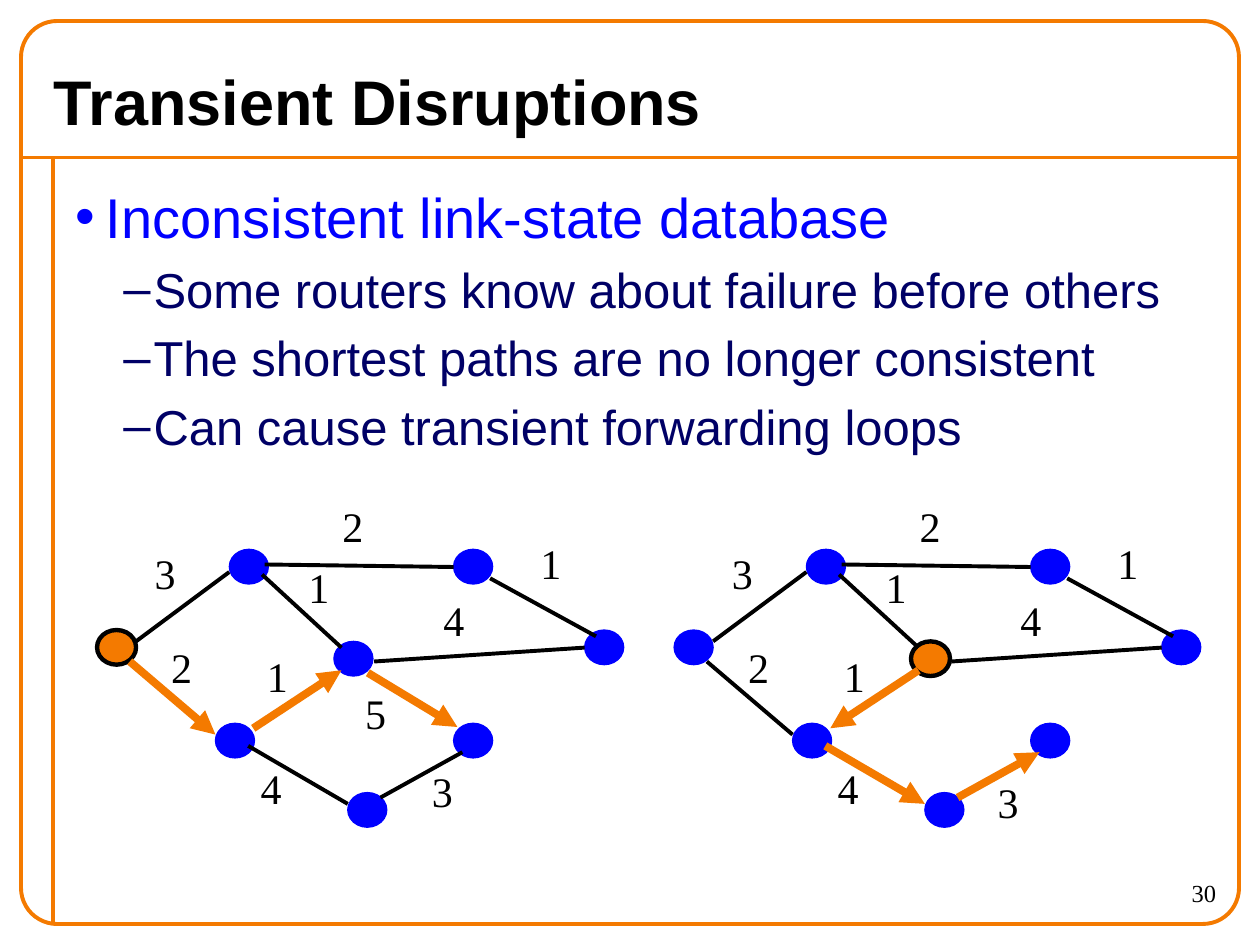
from dataclasses import dataclass

import pptx
import pptx.dml.color
import pptx.enum.shapes
import pptx.enum.text
import pptx.oxml
import pptx.oxml.ns
import pptx.util

ORANGE, BLUE, NAVY, BLACK = "F47A00", "0000FF", "000066", "000000"
COLUMNS, ROWS = 100, 75  # square grid over the whole slide
SANS, SERIF = "Arial", "Times New Roman"

deck = pptx.Presentation()
deck.slide_width = pptx.util.Inches(10)
deck.slide_height = pptx.util.Inches(7.5)
page = deck.slides.add_slide(deck.slide_layouts[6])


@dataclass(frozen=True)
class TextStyle:
    size: float
    font: str
    color: str
    bold: bool = False


@dataclass(frozen=True)
class Bullet:
    mark: str
    indent: float
    space_before: float


@dataclass(frozen=True)
class Link:
    start: tuple[float, float]
    end: tuple[float, float]


@dataclass(frozen=True)
class Network:
    shift: float  # columns to the right of the first network
    source: str  # node that sends the packet
    route: dict[str, str]  # link name -> arrow end
    costs: list[tuple[str, float, float]]  # text, column, row


def column(value: float) -> int:
    return round(deck.slide_width * value / COLUMNS)


def row(value: float) -> int:
    return round(deck.slide_height * value / ROWS)


def rgb(color: str) -> pptx.dml.color.RGBColor:
    return pptx.dml.color.RGBColor.from_string(color)


def area(left: float, top: float, width: float, height: float) -> tuple[int, int, int, int]:
    return column(left), row(top), column(width), row(height)


def add_child(parent, tag: str, **attributes: str) -> None:
    child = pptx.oxml.parse_xml(f"<a:{tag} {pptx.oxml.ns.nsdecls('a')}/>")
    for name, value in attributes.items():
        child.set(name, value)
    parent.append(child)


def draw_line(start: tuple[float, float], end: tuple[float, float], color: str,
              width: float, arrow: str = "") -> None:
    line = page.shapes.add_connector(
        pptx.enum.shapes.MSO_CONNECTOR.STRAIGHT,
        column(start[0]), row(start[1]), column(end[0]), row(end[1]))
    line.line.color.rgb = rgb(color)
    line.line.width = pptx.util.Pt(width)
    if arrow:
        add_child(line.line._get_or_add_ln(), arrow, type="triangle")
    add_child(line._element.spPr, "effectLst")


def draw_shape(kind, place: tuple[int, int, int, int], fill: str, line: str, width: float):
    shape = page.shapes.add_shape(kind, *place)
    shape.shadow.inherit = False
    if fill:
        shape.fill.solid()
        shape.fill.fore_color.rgb = rgb(fill)
    else:
        shape.fill.background()
    shape.line.color.rgb = rgb(line)
    shape.line.width = pptx.util.Pt(width)
    return shape


def add_text(para, text: str, style: TextStyle) -> None:
    span = para.add_run()
    span.text = text
    span.font.size = pptx.util.Pt(style.size)
    span.font.name = style.font
    span.font.bold = style.bold
    span.font.color.rgb = rgb(style.color)


def add_box(place: tuple[int, int, int, int], wrap: bool = True):
    box = page.shapes.add_textbox(*place)
    box.text_frame.word_wrap = wrap
    return box.text_frame


def add_bullet(para, bullet: Bullet, color: str) -> None:
    properties = para._p.get_or_add_pPr()
    properties.set("marL", str(column(bullet.indent)))
    properties.set("indent", str(-column(2.4)))
    para.space_before = pptx.util.Pt(bullet.space_before)
    add_child(properties, "buClr")
    add_child(properties[-1], "srgbClr", val=color)
    add_child(properties, "buFont", typeface=SANS)
    add_child(properties, "buChar", char=bullet.mark)


# Node corners and links of the first network
NODES = {
    "west": (7.7, 50), "southwest": (17.1, 57.4), "northwest": (18.2, 43.6),
    "centre": (26.5, 50.9), "southeast": (36, 57.4), "northeast": (36, 43.6),
    "south": (27.6, 62.9), "east": (46.4, 50),
}
LINKS = {
    "west-northwest": Link((10.8, 50.9), (18.2, 45.4)),
    "west-southwest": Link((10.3, 52.5), (17.1, 58.3)),
    "northwest-centre": Link((20.8, 45.6), (27.1, 51.4)),
    "southwest-south": Link((19.7, 59.2), (27.6, 63.8)),
    "southwest-centre": Link((20.1, 57.8), (27.1, 53.2)),
    "centre-southeast": Link((29.2, 53.4), (36.3, 57.7)),
    "south-southeast": Link((30.2, 63.3), (36.7, 59.7)),
    "centre-east": Link((29.7, 52.5), (46.4, 51.4)),
    "northwest-northeast": Link((21, 44.8), (36, 45)),
    "northeast-east": Link((38.9, 45.9), (47.3, 50.5)),
}
SHARED_COSTS = [
    ("3", 11.3, 43), ("2", 26.2, 39.2), ("2", 12.6, 50.4), ("1", 23.5, 44.1),
    ("1", 20.2, 51.1), ("4", 34.2, 46.7), ("1", 41.9, 42.2), ("4", 19.7, 60),
]
FAILED = "centre-southeast"  # gone once the failure is known
NETWORKS = [
    Network(0, "west",
            {"west-southwest": "tailEnd", "southwest-centre": "tailEnd", FAILED: "tailEnd"},
            SHARED_COSTS + [("5", 28, 54.1), ("3", 33.3, 60.3)]),
    Network(45.8, "centre",
            {"southwest-centre": "headEnd", "southwest-south": "tailEnd",
             "south-southeast": "tailEnd"},
            SHARED_COSTS + [("3", 32.4, 61.1)]),
]
COST_STYLE = TextStyle(24, SERIF, BLACK)


def draw_network(network: Network) -> None:
    for name, (left, top) in NODES.items():
        is_source = name == network.source
        draw_shape(pptx.enum.shapes.MSO_SHAPE.OVAL, area(left + network.shift, top, 3.1, 2.75),
                   ORANGE if is_source else BLUE, BLACK if is_source else BLUE,
                   2.5 if is_source else 0.75)
    for name, link in LINKS.items():
        arrow = network.route.get(name, "")
        if name == FAILED and not arrow:
            continue
        start, end = [(x + network.shift, y) for x, y in (link.start, link.end)]
        draw_line(start, end, ORANGE if arrow else BLACK, 4.5 if arrow else 2.25, arrow)
    for cost, left, top in network.costs:
        frame = add_box(area(left + network.shift, top, 3.6, 5), wrap=False)
        add_text(frame.paragraphs[0], cost, COST_STYLE)


# Slide frame
draw_line((1.7, 12.5), (98.3, 12.5), ORANGE, 2.25)
draw_line((4.2, 12.5), (4.2, 73.3), ORANGE, 2.25)
border = draw_shape(pptx.enum.shapes.MSO_SHAPE.ROUNDED_RECTANGLE,
                    area(1.67, 1.67, 96.67, 71.67), "", ORANGE, 2.25)
border.adjustments[0] = 0.04

# Title
title = add_box(area(3.3, 4.2, 88.2, 7.5))
title.vertical_anchor = pptx.enum.text.MSO_ANCHOR.MIDDLE
add_text(title.paragraphs[0], "Transient Disruptions", TextStyle(36, SANS, BLACK, True))

# Bulleted text
HEAD = (Bullet("•", 2.4, 0), TextStyle(32, SANS, BLUE))
POINT = (Bullet("–", 6.2, 5.5), TextStyle(28, SANS, NAVY))
body = add_box(area(5, 13.3, 92.5, 60))
body.margin_top = row(1.2)
for index, (text, (bullet, style)) in enumerate([
    ("Inconsistent link-state database", HEAD),
    ("Some routers know about failure before others", POINT),
    ("The shortest paths are no longer consistent", POINT),
    ("Can cause transient forwarding loops", POINT),
]):
    para = body.add_paragraph() if index else body.paragraphs[0]
    para.level = 1 if index else 0
    add_bullet(para, bullet, style.color)
    add_text(para, text, style)

# Networks before and after the failure is known
for network in NETWORKS:
    draw_network(network)

# Page number
number = add_box(area(87.5, 69.2, 10, 4.2))
number.paragraphs[0].alignment = pptx.enum.text.PP_ALIGN.RIGHT
add_text(number.paragraphs[0], "30", TextStyle(14, SERIF, BLACK))

deck.save("out.pptx")
